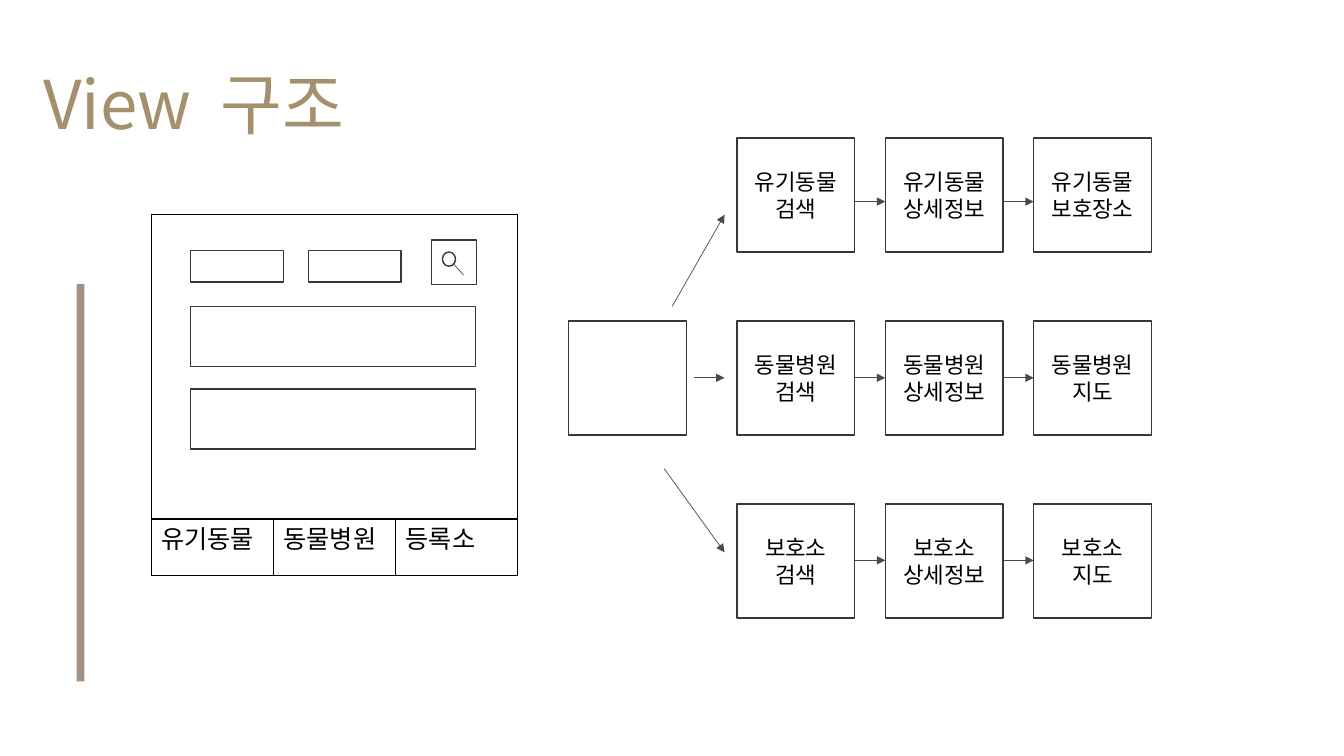
from lxml.etree import SubElement
from pptx import Presentation
from pptx.dml.color import RGBColor
from pptx.enum.shapes import MSO_CONNECTOR, MSO_SHAPE
from pptx.enum.text import MSO_ANCHOR, PP_ALIGN
from pptx.oxml.ns import qn
from pptx.util import Cm, Pt

COLORS = {"title": "A4906C", "bar": "A19083", "outline": "3D352F",
          "arrow": "53483F", "text": "000000", "grid": "000000", "paper": "FFFFFF"}
TITLE_FONT, BODY_FONT = "Noto Sans CJK KR", "Calibri"

# Title runs with their extra letter spacing in points
TITLE = [("View", 0), (" ", 10), ("구조", 0)]
TABS = ["유기동물", "동물병원", "등록소"]
# Each flow: height of its arrows, then its boxes with their paragraphs
FLOWS = [
    (5.08, [["유기동물 검색"], ["유기동물 상세정보"], ["유기동물", "보호장소"]]),
    (9.52, [["동물병원", "검색"], ["동물병원 상세정보"], ["동물병원", "지도"]]),
    (14.12, [["보호소", "검색"], ["보호소", "상세정보"], ["보호소", "지도"]]),
]

# Lengths in cm: left, top, width, height
TITLE_AREA = (0.84, 1.68, 9.25, 2.31)
SIDE_BAR = (1.93, 7.16, 0.2, 10.01)
SCREEN_LEFT, SCREEN_TOP, TAB_WIDTH = 3.81, 5.41, 3.08
SCREEN_ROWS = (7.67, 1.42)
SEARCH_BUTTON = (10.87, 6.05, 1.14, 1.12)
LENS = (11.15, 6.35, 0.33, 0.36)
LENS_HANDLE = (11.43, 6.65, 11.68, 6.93)
FILTERS = [(left, 6.32, 2.34, 0.79) for left in (4.8, 7.77)]
RESULTS = [(4.8, top, 7.19, 1.52) for top in (7.72, 9.8)]
BOX_WIDTH, BOX_HEIGHT = 2.97, 2.87
FLOW_LEFT, FLOW_TOP = 18.57, 3.48
COLUMN_STEP, ROW_STEP = 3.74, 4.61
START_LEFT = 14.33
BRANCHES = [(16.94, 7.72, 18.26, 5.41), (17.5, 9.52, 18.26, 9.52),
            (16.74, 11.81, 18.26, 13.92)]


def color(name):
    return RGBColor.from_string(COLORS[name])


def add_run(paragraph, text, size, font=BODY_FONT, ink="text"):
    run = paragraph.add_run()
    run.text = text
    run.font.size = Pt(size)
    run.font.name = font
    run.font.color.rgb = color(ink)
    SubElement(run.font._element, qn("a:ea"), typeface=font)
    return run


def add_box(area, paragraphs=(), kind=MSO_SHAPE.RECTANGLE, fill="paper", outline="outline"):
    box = slide.shapes.add_shape(kind, *map(Cm, area))
    box.shadow.inherit = False
    box.fill.solid()
    box.fill.fore_color.rgb = color(fill)
    if outline:
        box.line.color.rgb = color(outline)
        box.line.width = Pt(1)
    else:
        box.line.fill.background()
    frame = box.text_frame
    frame.word_wrap = True
    frame.vertical_anchor = MSO_ANCHOR.MIDDLE
    for i, text in enumerate(paragraphs):
        paragraph = frame.add_paragraph() if i else frame.paragraphs[0]
        paragraph.alignment = PP_ALIGN.CENTER
        add_run(paragraph, text, 16)


def add_line(ends, arrow=True):
    line = slide.shapes.add_connector(MSO_CONNECTOR.STRAIGHT, *map(Cm, ends))
    line.line.color.rgb = color("arrow")
    line.line.width = Pt(0.5)
    if arrow:
        SubElement(line.line._get_or_add_ln(), qn("a:tailEnd"), type="triangle")
    SubElement(line._element.spPr, qn("a:effectLst"))


def style_cell(cell):
    """Give the cell a thin border on all sides and no fill."""
    properties = cell._tc.get_or_add_tcPr()
    for side in ("lnL", "lnR", "lnT", "lnB"):
        border = SubElement(properties, qn(f"a:{side}"), w=str(Pt(1)))
        paint = SubElement(border, qn("a:solidFill"))
        SubElement(paint, qn("a:srgbClr"), val=COLORS["grid"])
    cell.fill.background()


def add_title():
    frame = slide.shapes.add_textbox(*map(Cm, TITLE_AREA)).text_frame
    frame.word_wrap = True
    paragraph = frame.paragraphs[0]
    paragraph.line_spacing = 0.9
    for text, spacing in TITLE:
        run = add_run(paragraph, text, 48, TITLE_FONT, "title")
        if spacing:
            run.font._element.set("spc", str(spacing * 100))


def add_screen():
    """Draw the app screen: a table with tabs, and the search controls on it."""
    table = slide.shapes.add_table(
        len(SCREEN_ROWS), len(TABS), Cm(SCREEN_LEFT), Cm(SCREEN_TOP),
        Cm(TAB_WIDTH * len(TABS)), Cm(sum(SCREEN_ROWS))).table
    table.first_row = table.horz_banding = False
    for row, height in zip(table.rows, SCREEN_ROWS):
        row.height = Cm(height)
    for i, tab in enumerate(TABS):
        table.columns[i].width = Cm(TAB_WIDTH)
        add_run(table.cell(1, i).text_frame.paragraphs[0], tab, 18)
    table.cell(0, 0).merge(table.cell(0, len(TABS) - 1))
    for cell in table.iter_cells():
        style_cell(cell)

    add_box(SEARCH_BUTTON)
    add_box(LENS, kind=MSO_SHAPE.FLOWCHART_CONNECTOR)
    add_line(LENS_HANDLE, arrow=False)
    for area in FILTERS + RESULTS:
        add_box(area)


def add_flows():
    add_box((START_LEFT, FLOW_TOP + ROW_STEP, BOX_WIDTH, BOX_HEIGHT))
    lefts = [FLOW_LEFT + i * COLUMN_STEP for i in range(3)]
    for row, (_, steps) in enumerate(FLOWS):
        for left, paragraphs in zip(lefts, steps):
            add_box((left, FLOW_TOP + row * ROW_STEP, BOX_WIDTH, BOX_HEIGHT), paragraphs)
    for branch in BRANCHES:
        add_line(branch)
    for arrow_y, _ in FLOWS:
        for left, following in zip(lefts, lefts[1:]):
            add_line((left + BOX_WIDTH, arrow_y, following, arrow_y))


presentation = Presentation()
presentation.slide_width, presentation.slide_height = Cm(33.87), Cm(19.05)
slide = presentation.slides.add_slide(presentation.slide_layouts[6])
add_title()
add_box(SIDE_BAR, fill="bar", outline=None)
add_screen()
add_flows()
presentation.save("out.pptx")
